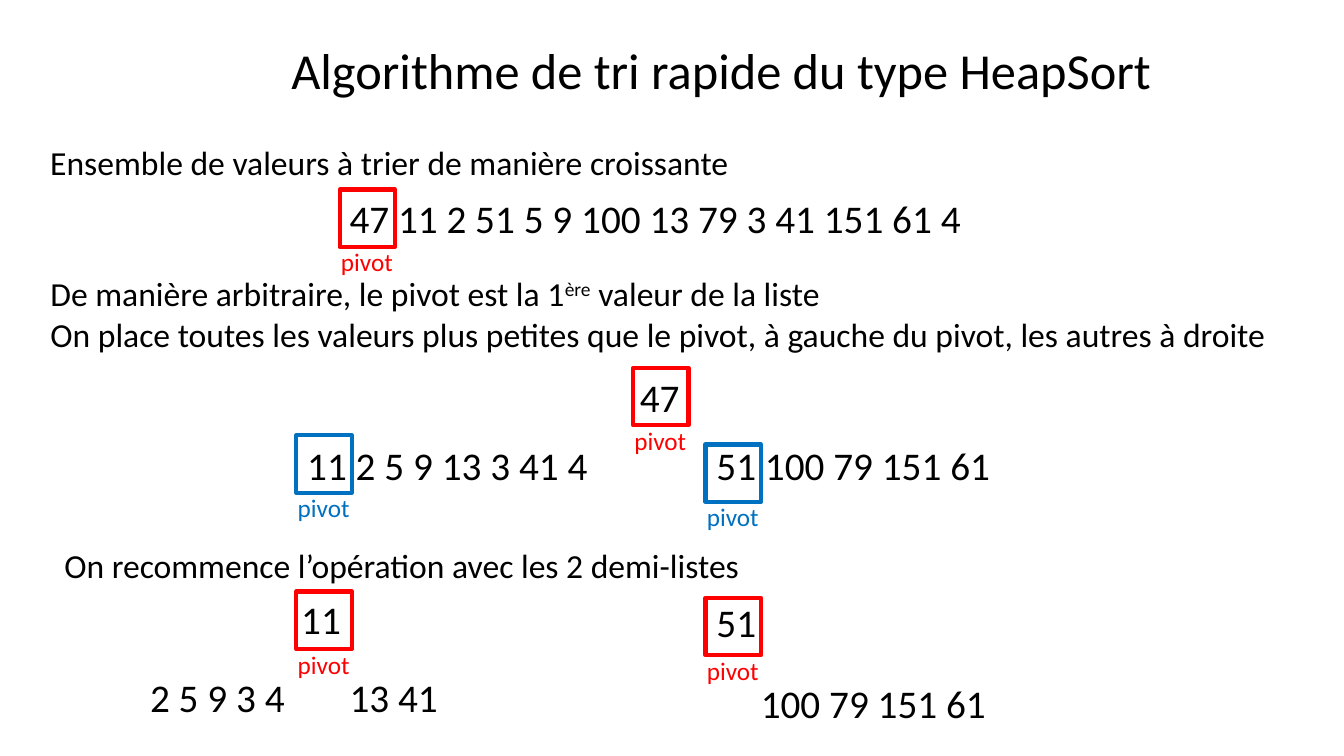
"""Build the slide that explains the pivot steps of a quick sorting algorithm."""
from pptx import Presentation
from pptx.dml.color import RGBColor
from pptx.enum import shapes, text
from pptx.oxml import ns
from pptx.util import Pt

BLACK, RED, BLUE = "000000", "FF0000", "0070C0"
FONT = "Calibri"
TITLE_SIZE, STATEMENT_SIZE, NUMBER_SIZE, LABEL_SIZE = 36, 24, 28, 18
PIVOT_WIDTH, PIVOT_HEIGHT = 39.6, 41
LABEL_WIDTH, LABEL_SHIFT, LABEL_DROP = 51.8, -6.2, 37.3

TITLE = ("Algorithme de tri rapide du type HeapSort", 200.9, 24.5, 633.6)
RULES = [
    [("De manière arbitraire, le pivot est la 1", False), ("ère", True), (" valeur de la liste", False)],
    [("On place toutes les valeurs plus petites que le pivot, à gauche du pivot, les autres à droite", False)],
]
RULES_PLACE = (28.8, 191.5, 890.6)
STATEMENTS = [
    ("Ensemble de valeurs à trier de manière croissante", 28.8, 97.9, 504),
    ("On recommence l’opération avec les 2 demi-listes", 38.9, 385.9, 501.1),
]
STEPS = [
    {"numbers": [("47 11 2 51 5 9 100 13 79 3 41 151 61 4", 242.6, 135.4, 457.9)],
     "pivots": [(242.6, 135.4, RED)]},
    {"numbers": [("11 2 5 9 13 3 41 4", 212.4, 311.8, 218.2), ("47", 450, 262.8, 43.2),
                 ("51 100 79 151 61", 504.7, 311.8, 213.1)],
     "pivots": [(452.2, 262.8, RED), (504, 317.5, BLUE), (211.7, 311, BLUE)]},
    {"numbers": [("2 5 9 3 4", 100.1, 477.4, 112.3), ("11", 208.1, 421.9, 43.2),
                 ("13 41", 242.6, 477.4, 78.5)],
     "pivots": [(211.7, 422.6, RED)]},
    {"numbers": [("51", 504.7, 424.1, 43.2), ("100 79 151 61", 536.4, 481.7, 177.8)],
     "pivots": [(504, 427, RED)]},
]


def color(value):
    return RGBColor.from_string(value)


def place(box, left, top, width, size, lines=1):
    box.left, box.top, box.width = Pt(left), Pt(top), Pt(width)
    box.height = Pt(lines * size * 1.22 + 7.2)


def format_text(box, size, ink=BLACK):
    frame = box.text_frame
    frame.word_wrap = False
    frame.auto_size = text.MSO_AUTO_SIZE.SHAPE_TO_FIT_TEXT
    frame.vertical_anchor = text.MSO_ANCHOR.TOP
    for para in frame.paragraphs:
        para.alignment = text.PP_ALIGN.LEFT
        para.line_spacing = 1.0
        para.space_before = para.space_after = Pt(0)
        for span in para.runs:
            span.font.name = FONT
            span.font.size = Pt(size)
            span.font.color.rgb = color(ink)


def add_text(parent, words, left, top, width, size, ink=BLACK):
    box = parent.add_textbox(0, 0, 0, 0)
    place(box, left, top, width, size)
    box.text_frame.text = words
    format_text(box, size, ink)


def add_pivot(parent, left, top, ink):
    frame = parent.add_shape(shapes.MSO_SHAPE.RECTANGLE, Pt(left), Pt(top),
                             Pt(PIVOT_WIDTH), Pt(PIVOT_HEIGHT))
    frame.shadow.inherit = False
    frame.fill.background()
    frame.line.color.rgb = color(ink)
    frame.line.width = Pt(3)
    add_text(parent, "pivot", left + LABEL_SHIFT, top + LABEL_DROP, LABEL_WIDTH, LABEL_SIZE, ink)


def fill_rules(body):
    place(body, *RULES_PLACE, STATEMENT_SIZE, len(RULES))
    frame = body.text_frame
    for index, pieces in enumerate(RULES):
        para = frame.paragraphs[0] if index == 0 else frame.add_paragraph()
        properties = para._p.get_or_add_pPr()
        properties.set("marL", "0")
        properties.set("indent", "0")
        properties.append(properties.makeelement(ns.qn("a:buNone"), {}))
        for words, raised in pieces:
            span = para.add_run()
            span.text = words
            if raised:
                span.font._element.set("baseline", "30000")
    format_text(body, STATEMENT_SIZE)


def main():
    deck = Presentation()
    deck.slide_width, deck.slide_height = Pt(960), Pt(540)
    page = deck.slides.add_slide(deck.slide_layouts[1])
    title, body = page.placeholders
    words, *position = TITLE
    place(title, *position, TITLE_SIZE)
    title.text_frame.text = words
    format_text(title, TITLE_SIZE)
    fill_rules(body)
    for statement in STATEMENTS:
        add_text(page.shapes, *statement, STATEMENT_SIZE)
    for step in STEPS:
        group = page.shapes.add_group_shape().shapes
        for numbers in step["numbers"]:
            add_text(group, *numbers, NUMBER_SIZE)
        for pivot in step["pivots"]:
            add_pivot(group, *pivot)
    deck.save("out.pptx")


if __name__ == "__main__":
    main()
